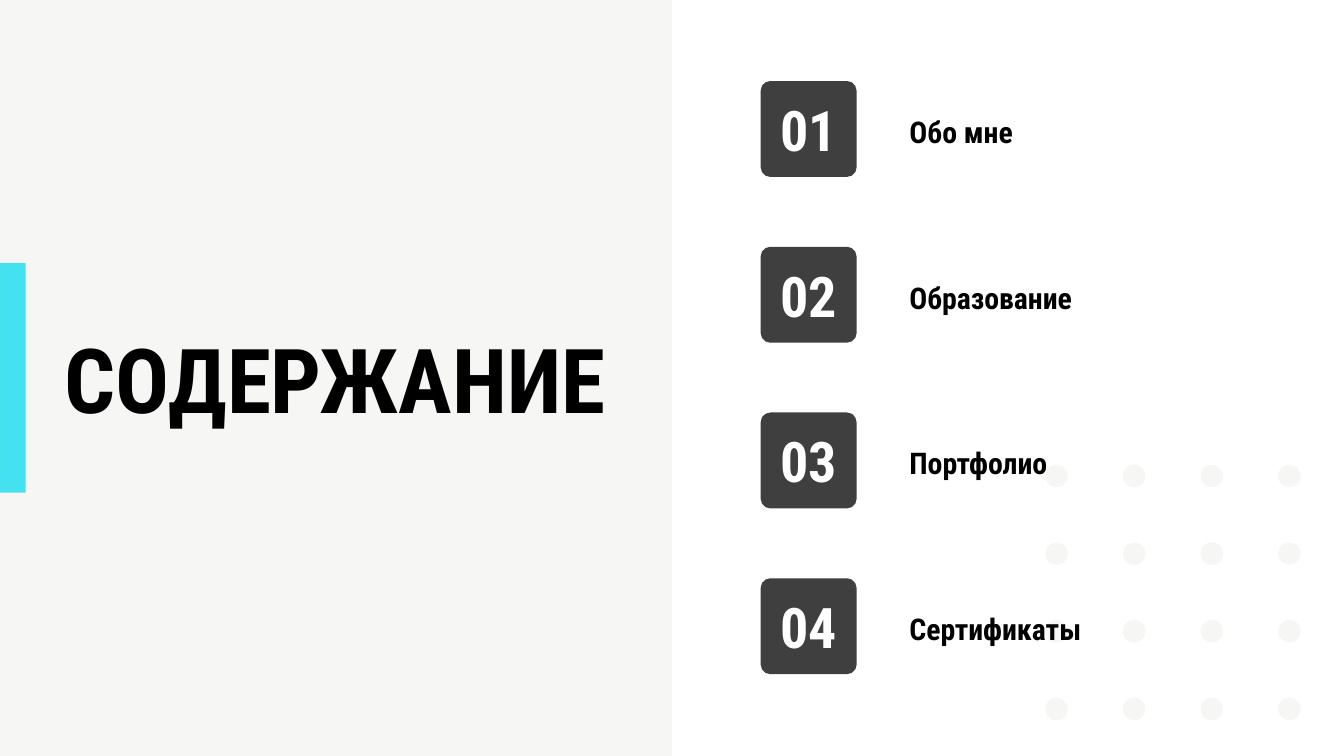
from pptx import Presentation
from pptx.dml.color import RGBColor
from pptx.enum.shapes import MSO_SHAPE as Form
from pptx.enum.text import MSO_ANCHOR as Anchor, MSO_AUTO_SIZE as Fit, PP_ALIGN as Align
from pptx.oxml.xmlchemy import OxmlElement as Node
from pptx.util import Pt


def draw(form, x, y, w, h, color):
    shape = slide.shapes.add_shape(form, Pt(x), Pt(y), Pt(w), Pt(h))
    shape.shadow.inherit = False
    shape.fill.solid()
    shape.fill.fore_color.rgb = RGBColor.from_string(color)
    shape.line.fill.background()
    return shape


def write(shape, text, size, color, align, anchor, side=7.2):
    frame = shape.text_frame
    frame.auto_size = Fit.NONE
    frame.word_wrap = True
    frame.vertical_anchor = anchor
    frame.margin_left = frame.margin_right = Pt(side)
    frame.margin_top = frame.margin_bottom = Pt(7.2)
    para = frame.paragraphs[0]
    para.alignment = align
    para.space_before = Pt(0)
    run = para.add_run()
    run.text = text
    run.font.name = "Roboto Condensed"
    run.font.size = Pt(size)
    run.font.bold = True
    run.font.color.rgb = RGBColor.from_string(color)
    return para


deck = Presentation()
deck.slide_width, deck.slide_height = Pt(720), Pt(405)
slide = deck.slides.add_slide(deck.slide_layouts.get_by_name("Comparison"))
tree = slide.shapes._spTree
title = slide.shapes.title
labels = [slide.placeholders[i] for i in range(1, 5)]

draw(Form.RECTANGLE, 0, 0, 360, 405, "F6F6F4")
for row in range(4):
    for col in range(4):
        draw(Form.OVAL, 560 + 41.6 * col, 249 + 41.6 * row, 12, 12, "F6F6F4")
draw(Form.RECTANGLE, 0, 141, 13.8, 123, "44E1F1")

tree.append(title._element)
title.left, title.top, title.width, title.height = Pt(27.4), Pt(133.2), Pt(306), Pt(138.2)
write(title, "СОДЕРЖАНИЕ", 48, "000000", Align.LEFT, Anchor.MIDDLE)

names = ["Обо мне", "Образование", "Портфолио", "Сертификаты"]
for i, (label, name) in enumerate(zip(labels, names)):
    top = 43.4 + 88.8 * i
    box = draw(Form.ROUNDED_RECTANGLE, 407.5, top, 51.4, 51.4, "3F3F3F")
    box.adjustments[0] = 0.1
    write(box, f"{i + 1:02}", 30, "FFFFFF", Align.CENTER, Anchor.MIDDLE, 0)

    tree.append(label._element)
    label.left, label.top, label.width, label.height = Pt(480), Pt(top + 10.2), Pt(172), Pt(31)
    para = write(label, name, 16, "000000", Align.LEFT, Anchor.TOP)
    props = para._p.get_or_add_pPr()
    props.set("marL", "0")
    props.set("indent", "0")
    props.append(Node("a:buNone"))

deck.save("out.pptx")
